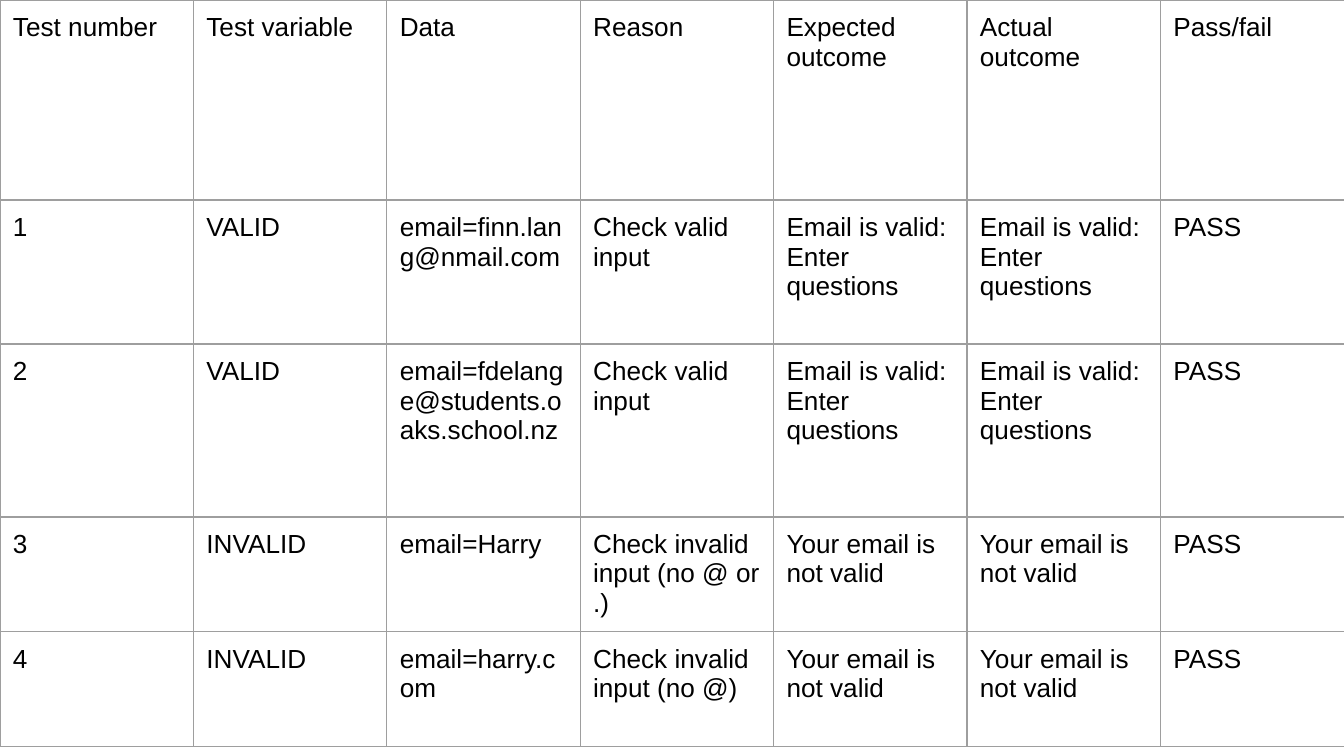
from lxml import etree
from pptx import Presentation
from pptx import util as u
from pptx.dml.color import RGBColor
from pptx.oxml import ns

PX = 914400 / 134.4
COLORS = {"text": "000000", "border": "9E9E9E", "background": "FFFFFF"}
FONT = "Arial"
TABLE_WIDTH = 1354
ROW_HEIGHTS = [200, 144, 173, 115, 115]
CELL_MARGIN = 13

HEADERS = ["Test number", "Test variable", "Data", "Reason",
           "Expected outcome", "Actual outcome", "Pass/fail"]
ACCEPTED = "Email is valid:\nEnter questions"
REJECTED = "Your email is not valid"
TESTS = [
    ("VALID", "email=finn.lang@nmail.com", "Check valid input", ACCEPTED),
    ("VALID", "email=fdelange@students.oaks.school.nz", "Check valid input", ACCEPTED),
    ("INVALID", "email=Harry", "Check invalid input (no @ or .)", REJECTED),
    ("INVALID", "email=harry.com", "Check invalid input (no @)", REJECTED),
]


def px(n):
    return u.Emu(round(n * PX))


def rgb(name):
    return RGBColor.from_string(COLORS[name])


def set_borders(cell, color, width):
    tc_pr = cell._tc.get_or_add_tcPr()
    for i, side in enumerate(("lnL", "lnR", "lnT", "lnB")):
        line = etree.Element(ns.qn(f"a:{side}"), w=str(u.Pt(width)))
        fill = etree.SubElement(line, ns.qn("a:solidFill"))
        etree.SubElement(fill, ns.qn("a:srgbClr"), val=COLORS[color])
        tc_pr.insert(i, line)


def fill_cell(cell, content):
    cell.text = content
    cell.margin_left = cell.margin_right = px(CELL_MARGIN)
    cell.margin_top = cell.margin_bottom = px(CELL_MARGIN)
    cell.fill.background()
    set_borders(cell, "border", 0.75)
    for p in cell.text_frame.paragraphs:
        p.font.name = FONT
        p.font.size = u.Pt(14)
        p.font.color.rgb = rgb("text")


def add_grid(s, rows):
    frame = s.shapes.add_table(len(rows), len(HEADERS), 0, 0,
                               px(TABLE_WIDTH), px(sum(ROW_HEIGHTS)))
    table = frame.table
    table.first_row = table.horz_banding = False
    for row, height in zip(table.rows, ROW_HEIGHTS):
        row.height = px(height)
    for row, contents in zip(table.rows, rows):
        for cell, content in zip(row.cells, contents):
            fill_cell(cell, content)


def main():
    prs = Presentation()
    prs.slide_width, prs.slide_height = px(1344), px(756)
    s = prs.slides.add_slide(prs.slide_layouts[6])
    s.background.fill.solid()
    s.background.fill.fore_color.rgb = rgb("background")
    rows = [HEADERS]
    for number, (variable, data, reason, outcome) in enumerate(TESTS, 1):
        rows.append([str(number), variable, data, reason, outcome, outcome, "PASS"])
    add_grid(s, rows)
    prs.save("out.pptx")


if __name__ == "__main__":
    main()
